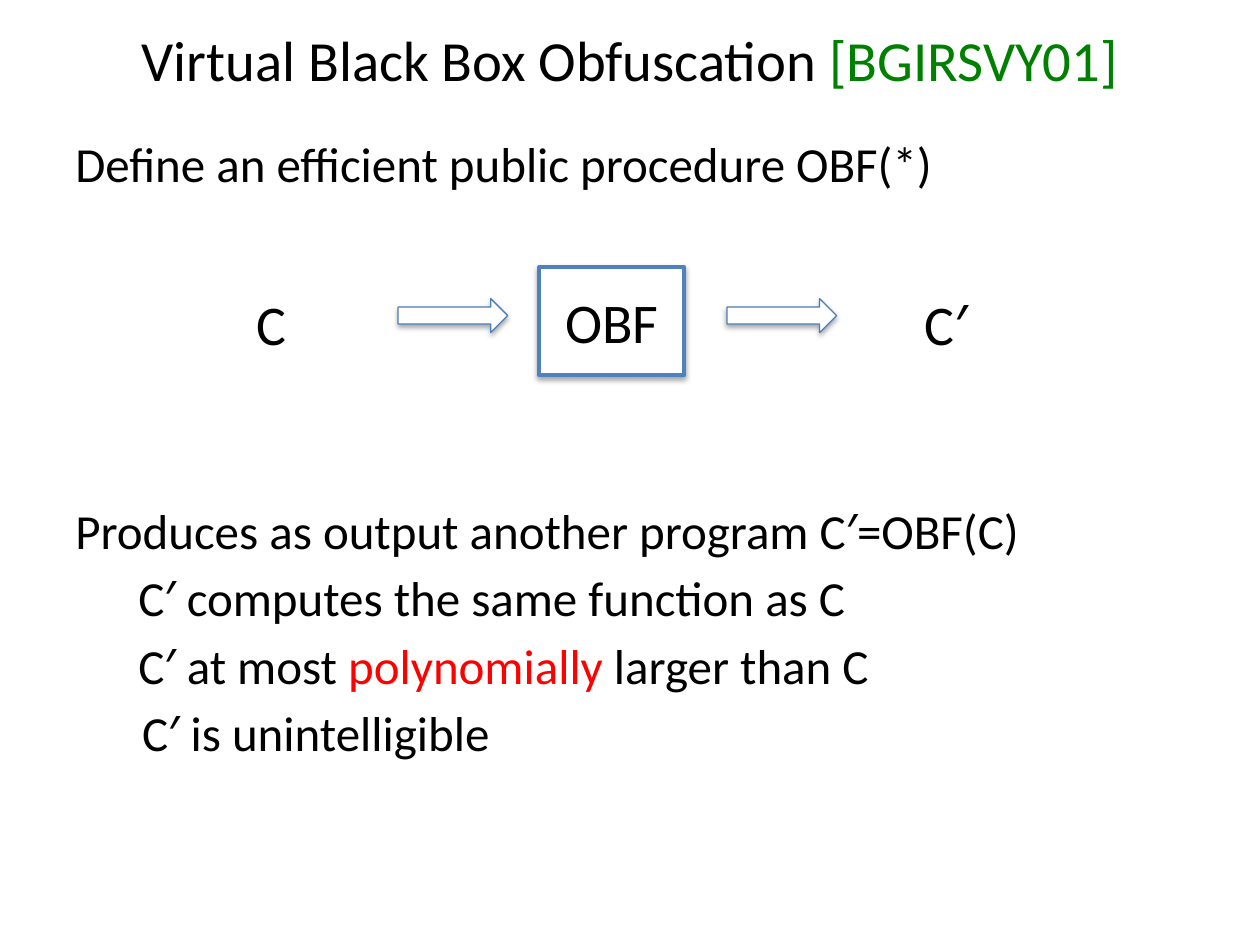
import dataclasses

import lxml.etree
import pptx
import pptx.dml.color
import pptx.enum.shapes
import pptx.enum.text
import pptx.oxml.ns
import pptx.util

Inches = pptx.util.Inches
Pt = pptx.util.Pt
ALIGN = pptx.enum.text.PP_ALIGN
ANCHOR = pptx.enum.text.MSO_ANCHOR
SHAPE = pptx.enum.shapes.MSO_SHAPE

COLORS = {
    "text": "000000",
    "citation": "008000",
    "emphasis": "FF0000",
    "fill": "FFFFFF",
    "box_line": "4F81BD",
    "arrow_line": "4B7EBC",
    "shadow": "000000",
}


@dataclasses.dataclass
class Box:
    left: float
    top: float
    width: float
    height: float

    def lengths(self) -> list:
        return [Inches(value) for value in dataclasses.astuple(self)]


@dataclasses.dataclass
class Line:
    runs: list[tuple[str, str]]
    indent: float = 0


def rgb(name: str) -> pptx.dml.color.RGBColor:
    return pptx.dml.color.RGBColor.from_string(COLORS[name])


def write_text(shape, lines: list[Line], *, size: float, align=ALIGN.LEFT,
               anchor=ANCHOR.TOP, wrap: bool = True, gap: float = 5) -> None:
    frame = shape.text_frame
    frame.word_wrap = wrap
    frame.vertical_anchor = anchor
    for index, line in enumerate(lines):
        paragraph = frame.add_paragraph() if index else frame.paragraphs[0]
        paragraph.alignment = align
        paragraph.space_before = Pt(gap if index else 0)
        if line.indent:
            properties = paragraph._p.get_or_add_pPr()
            properties.set("marL", str(Inches(line.indent)))
        for text, color in line.runs:
            run = paragraph.add_run()
            run.text = text
            run.font.name = "Calibri"
            run.font.size = Pt(size)
            run.font.color.rgb = rgb(color)


def add_text(slide, box: Box, lines: list[Line], **text_format) -> None:
    write_text(slide.shapes.add_textbox(*box.lengths()), lines, **text_format)


def add_shadowed_shape(slide, kind: SHAPE, box: Box, line_color: str, line_width: float):
    shape = slide.shapes.add_shape(kind, *box.lengths())
    shape.fill.solid()
    shape.fill.fore_color.rgb = rgb("fill")
    shape.line.color.rgb = rgb(line_color)
    shape.line.width = Pt(line_width)
    shape.shadow.inherit = False
    qn = pptx.oxml.ns.qn
    effects = shape._element.spPr.find(qn("a:effectLst"))
    shadow = lxml.etree.SubElement(
        effects, qn("a:outerShdw"), blurRad=str(Pt(3.1)), dist=str(Pt(1.8)),
        dir="5400000", rotWithShape="0")
    color = lxml.etree.SubElement(shadow, qn("a:srgbClr"), val=COLORS["shadow"])
    lxml.etree.SubElement(color, qn("a:alpha"), val="35000")
    return shape


def main() -> None:
    """Build the obfuscation slide."""
    presentation = pptx.Presentation()
    presentation.slide_width = Inches(10)
    presentation.slide_height = Inches(7.5)
    slide = presentation.slides.add_slide(presentation.slide_layouts[6])

    title = Line([("Virtual Black Box Obfuscation ", "text"), ("[BGIRSVY01]", "citation")])
    add_text(slide, Box(0.5, 0.09, 9, 0.75), [title], size=32.4,
             align=ALIGN.CENTER, anchor=ANCHOR.MIDDLE)
    definition = Line([("Define an efficient public procedure OBF(*)", "text")])
    add_text(slide, Box(0.5, 1.01, 8.7, 0.71), [definition], size=28)

    obfuscator = add_shadowed_shape(
        slide, SHAPE.RECTANGLE, Box(4.28, 2.12, 1.15, 0.86), "box_line", 2.25)
    write_text(obfuscator, [Line([("OBF", "text")])], size=32,
               align=ALIGN.CENTER, anchor=ANCHOR.MIDDLE)
    for label, left, width in (("C", 1.94, 0.44), ("C′", 7.24, 1.08)):
        add_text(slide, Box(left, 2.25, width, 0.64), [Line([(label, "text")])],
                 size=32, wrap=False)
    for left in (3.16, 5.77):
        add_shadowed_shape(slide, SHAPE.RIGHT_ARROW, Box(left, 2.37, 0.87, 0.27),
                           "arrow_line", 0.75)

    properties = [
        Line([("Produces as output another program C′=OBF(C)", "text")]),
        Line([("C′ computes the same function as C", "text")], 0.5),
        Line([("C′ at most ", "text"), ("polynomially", "emphasis"),
              (" larger than C", "text")], 0.5),
        Line([("C′ is unintelligible", "text")], 0.53),
    ]
    add_text(slide, Box(0.5, 3.92, 8.7, 2.4), properties, size=28)
    presentation.save("out.pptx")


if __name__ == "__main__":
    main()
